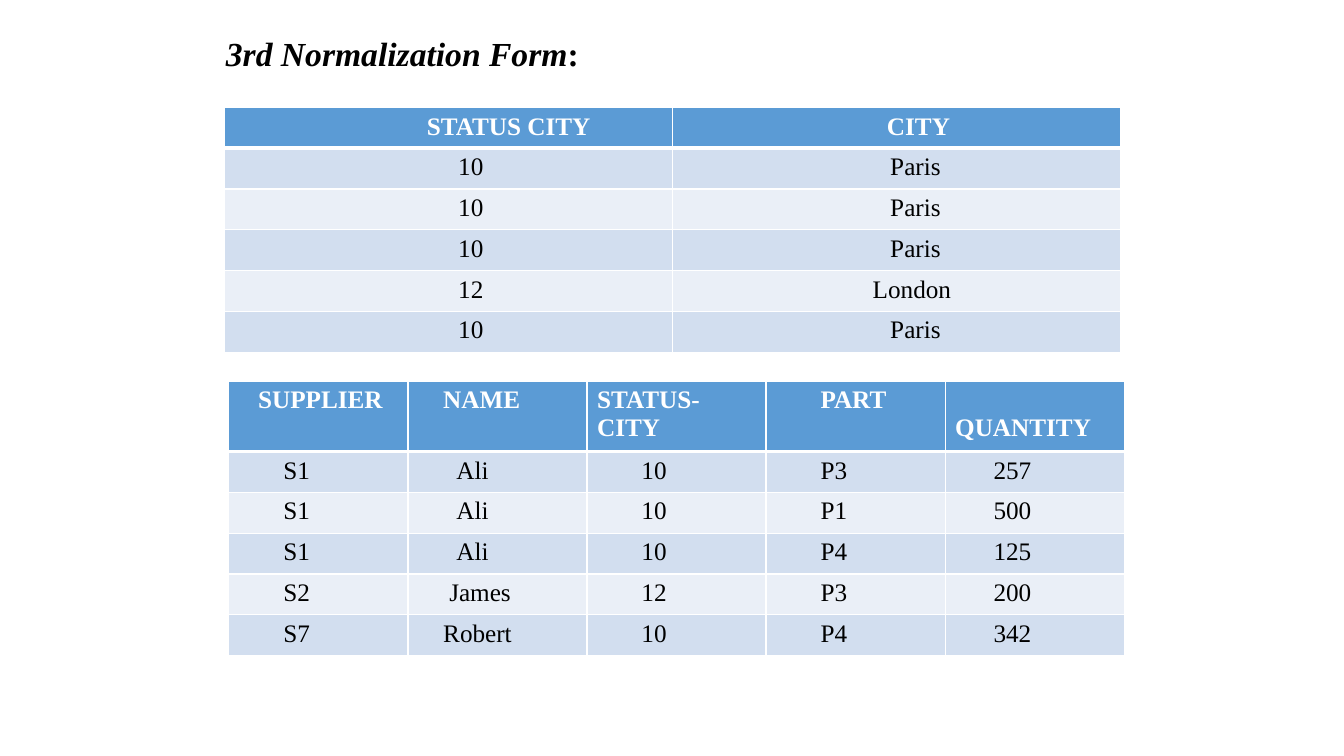
from pptx import Presentation
from pptx.dml.color import RGBColor
from pptx.enum import text
from pptx.oxml import parse_xml
from pptx.oxml.ns import nsdecls
from pptx.util import Inches, Pt

FONT = "Times New Roman"
BLACK = RGBColor(0x00, 0x00, 0x00)
WHITE = RGBColor(0xFF, 0xFF, 0xFF)
BLUE = RGBColor(0x5B, 0x9B, 0xD5)
BANDS = [RGBColor(0xEA, 0xEF, 0xF7), RGBColor(0xD2, 0xDE, 0xEF)]
LEFT, CENTER = text.PP_ALIGN.LEFT, text.PP_ALIGN.CENTER

TITLE = [("3rd Normalization Form", True), (":", False)]
TABLES = [
    dict(
        left=2.23, top=1.07, width=8.88, header_height=0.4, align=CENTER,
        header=["STATUS CITY", "CITY"],
        header_indents=[1.19, 0.44],
        body_indents=[0.44, 0.38],
        rows=[
            ("10", "Paris"),
            ("10", "Paris"),
            ("10", "Paris"),
            ("12", "London"),
            ("10", "Paris"),
        ],
    ),
    dict(
        left=2.27, top=3.78, width=8.88, header_height=0.7, align=LEFT,
        header=["SUPPLIER", "NAME", "STATUS-CITY", "PART", "QUANTITY"],
        header_indents=[0.19, 0.25, 0, 0.44, 0],
        body_indents=[0.44, 0.38, 0.44, 0.44, 0.38],
        rows=[
            ("S1", "Ali", "10", "P3", "257"),
            ("S1", "Ali", "10", "P1", "500"),
            ("S1", "Ali", "10", "P4", "125"),
            ("S2", "James", "12", "P3", "200"),
            ("S7", "Robert", "10", "P4", "342"),
        ],
    ),
]
NAME_INDENTS = {"London": 0.31, "James": 0.31, "Robert": 0.25}
LOWERED_HEADER = "QUANTITY"
ROW_HEIGHT = 0.405
LINE_HEIGHT = 0.28


def add_text(p, content, size=18, color=BLACK, bold=False, italic=False,
             align=LEFT, indent=0):
    """Add a formatted run to a paragraph."""
    p.alignment = align
    p._p.get_or_add_pPr().set("marL", str(Inches(indent)))
    r = p.add_run()
    r.text = content
    r.font.name, r.font.size = FONT, Pt(size)
    r.font.bold, r.font.italic = bold, italic
    r.font.color.rgb = color


def set_borders(cell, bottom):
    """Draw white borders around a cell."""
    tcPr = cell._tc.get_or_add_tcPr()
    widths = {"lnL": 1, "lnR": 1, "lnT": 1, "lnB": bottom}
    for i, (tag, width) in enumerate(widths.items()):
        tcPr.insert(i, parse_xml(
            f'<a:{tag} {nsdecls("a")} w="{Pt(width)}"><a:solidFill>'
            f'<a:srgbClr val="{WHITE}"/></a:solidFill></a:{tag}>'))


def add_table(s, left, top, width, header_height, align, header,
              header_indents, body_indents, rows):
    """Add a banded table with a blue header row."""
    height = header_height + ROW_HEIGHT * len(rows)
    table = s.shapes.add_table(
        len(rows) + 1, len(header), Inches(left), Inches(top),
        Inches(width), Inches(height)).table
    for column in table.columns:
        column.width = Inches(width / len(header))
    for i, values in enumerate([header, *rows]):
        is_header = i == 0
        table.rows[i].height = Inches(header_height if is_header else ROW_HEIGHT)
        indents = header_indents if is_header else body_indents
        for j, value in enumerate(values):
            cell = table.cell(i, j)
            cell.fill.solid()
            cell.fill.fore_color.rgb = BLUE if is_header else BANDS[i % 2]
            set_borders(cell, bottom=3 if is_header else 1)
            if value == LOWERED_HEADER:
                cell.margin_top = Inches(0.05 + LINE_HEIGHT)
            add_text(cell.text_frame.paragraphs[0], value, bold=is_header,
                     color=WHITE if is_header else BLACK, align=align,
                     indent=NAME_INDENTS.get(value, indents[j]))


def main():
    """Build the slide and save it."""
    prs = Presentation()
    prs.slide_width, prs.slide_height = Inches(13.33), Inches(7.5)
    s = prs.slides.add_slide(prs.slide_layouts[5])

    title = s.shapes.title
    title.left, title.top = Inches(2.14), Inches(0.28)
    title.width, title.height = Inches(6.33), Inches(0.5)
    tf = title.text_frame
    tf.word_wrap = True
    tf.auto_size = text.MSO_AUTO_SIZE.NONE
    tf.vertical_anchor = text.MSO_ANCHOR.TOP
    for content, italic in TITLE:
        add_text(tf.paragraphs[0], content, size=24, bold=True, italic=italic)

    for spec in TABLES:
        add_table(s, **spec)
    prs.save("out.pptx")


if __name__ == "__main__":
    main()
